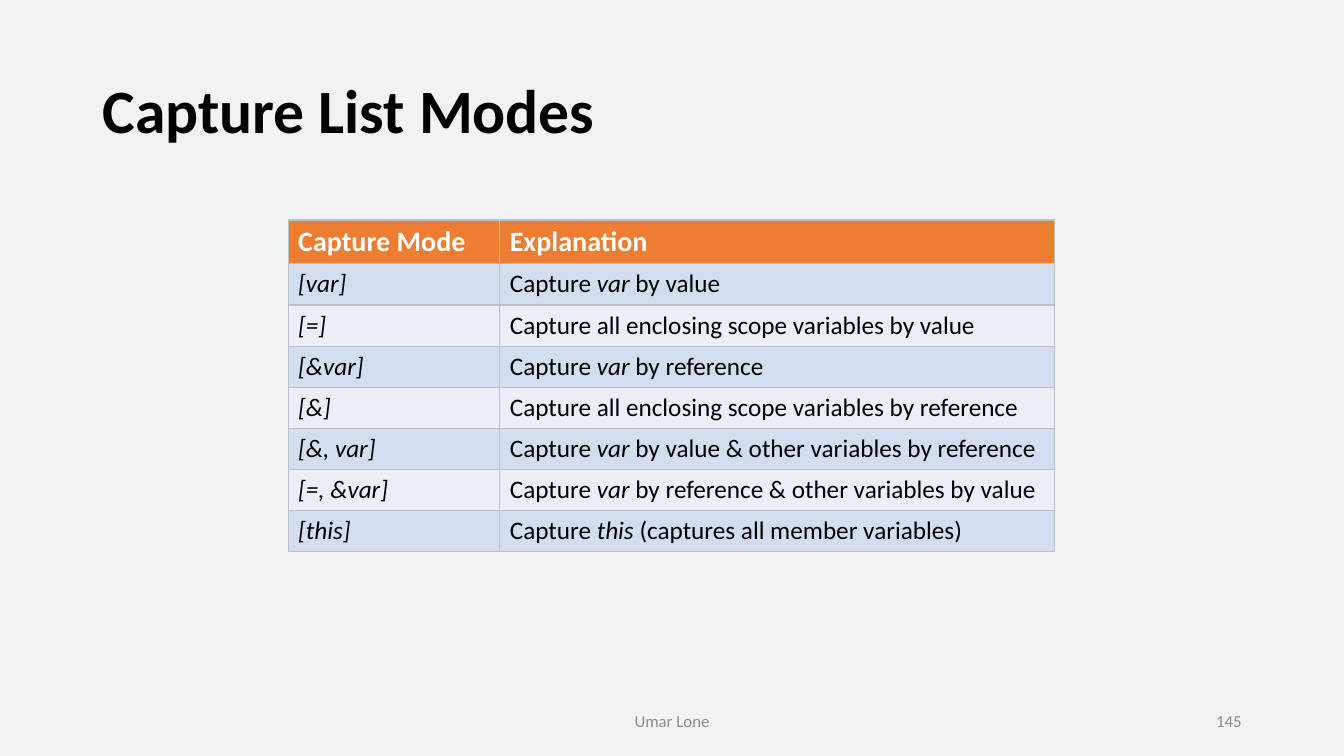
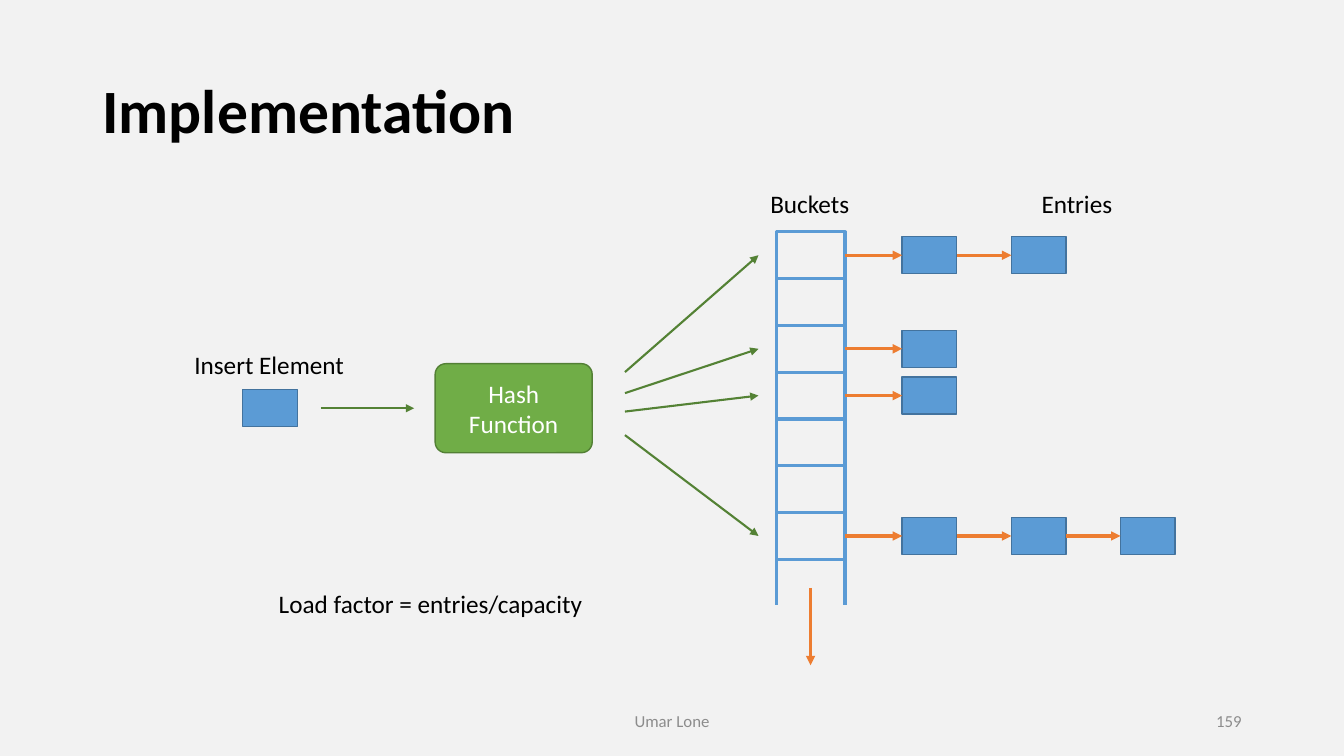
from lxml.etree import SubElement
from pptx import Presentation
from pptx.dml.color import RGBColor as RGB
from pptx.enum.shapes import MSO_CONNECTOR as Conn, MSO_SHAPE as Shape
from pptx.enum.text import MSO_ANCHOR as Anchor, PP_ALIGN as Align
from pptx.oxml import parse_xml
from pptx.oxml.ns import nsdecls, qn
from pptx.util import Inches, Pt

COLS, ROWS = 160, 90
WIDTH, HEIGHT = Inches(13.33), Inches(7.5)
LEFT, RIGHT = 1, 3

COLORS = {
    "back": "F2F2F2", "black": "000000", "white": "FFFFFF", "footer": "8C8C8C",
    "orange": "ED7D31", "blue": "5B9BD5", "blue_edge": "43739E",
    "green": "70AD47", "green_edge": "538035", "green_arrow": "548235",
    "band_dark": "D2DEEF", "band_light": "EAEFF7", "border": "BFBFBF",
}
FONTS = {
    "title": ({"size": Pt(44), "bold": True}, "black"),
    "label": ({"size": Pt(18)}, "black"),
    "italic": ({"size": Pt(18), "italic": True}, "black"),
    "inverse": ({"size": Pt(18)}, "white"),
    "header": ({"size": Pt(20), "bold": True}, "white"),
    "footer": ({"size": Pt(12)}, "footer"),
}


def rgb(name):
    return RGB.from_string(COLORS[name])


def x(cols):
    return round(WIDTH * cols / COLS)


def y(rows):
    return round(HEIGHT * rows / ROWS)


def box(left, top, width, height):
    return x(left), y(top), x(width), y(height)


def marked(text):
    """Split text into runs, with the parts between asterisks in italics."""
    parts = text.split("*")
    return [(t, "italic" if i % 2 else "label") for i, t in enumerate(parts) if t]


def write(tf, runs, align=Align.LEFT, **frame):
    for name, value in frame.items():
        setattr(tf, name, value)
    p = tf.paragraphs[0]
    p.alignment = align
    for text, style in runs:
        r = p.add_run()
        r.text = text
        formats, color = FONTS[style]
        for name, value in {"name": "Calibri", **formats}.items():
            setattr(r.font, name, value)
        r.font.color.rgb = rgb(color)
    return p


class Deck:
    """Holds the presentation style and the current slide."""

    def __init__(self):
        self.prs = Presentation()
        self.prs.slide_width, self.prs.slide_height = WIDTH, HEIGHT
        fill = self.prs.slide_master.background.fill
        fill.solid()
        fill.fore_color.rgb = rgb("back")
        self.s = None

    def new_slide(self, title, number):
        self.s = self.prs.slides.add_slide(self.prs.slide_layouts[5])
        sp = self.s.shapes.title
        sp.left, sp.top, sp.width, sp.height = box(11, 4.8, 138, 17.4)
        p = write(sp.text_frame, [(title, "title")], vertical_anchor=Anchor.MIDDLE)
        p.line_spacing = 0.9
        for area, text, align in (((53, 83.4, 54, 4.8), "Umar Lone", Align.CENTER),
                                  ((113, 83.4, 36, 4.8), number, Align.RIGHT)):
            self.text(area, [(text, "footer")], align, vertical_anchor=Anchor.MIDDLE)

    def text(self, area, runs, align=Align.CENTER, **frame):
        sp = self.s.shapes.add_textbox(*box(*area))
        write(sp.text_frame, runs, align, **{"word_wrap": True, **frame})

    def shape(self, area, fill=None, edge="blue_edge", weight=1, kind=Shape.RECTANGLE):
        sp = self.s.shapes.add_shape(kind, *box(*area))
        sp.shadow.inherit = False
        if fill:
            sp.fill.solid()
            sp.fill.fore_color.rgb = rgb(fill)
        else:
            sp.fill.background()
        sp.line.color.rgb = rgb(edge)
        sp.line.width = Pt(weight)
        return sp

    def line(self, start, end, color, weight=2.25, arrow=True):
        c = self.s.shapes.add_connector(
            Conn.STRAIGHT, x(start[0]), y(start[1]), x(end[0]), y(end[1]))
        c.line.color.rgb = rgb(color)
        c.line.width = Pt(weight)
        spPr = c.element.spPr
        if arrow:
            SubElement(spPr.find(qn("a:ln")), qn("a:tailEnd"), type="triangle")
        SubElement(spPr, qn("a:effectLst"))
        return c

    def link(self, source, target):
        c = self.line((0, 0), (1, 1), "orange")
        c.begin_connect(source, RIGHT)
        c.end_connect(target, LEFT)

    def table(self, left, top, widths, row_height, rows):
        """Draw a table whose first row is the header."""
        area = box(left, top, sum(widths), row_height * len(rows))
        table = self.s.shapes.add_table(len(rows), len(widths), *area).table
        for column, width in zip(table.columns, widths):
            column.width = x(width)
        for i, row in enumerate(rows):
            table.rows[i].height = y(row_height)
            fill = "orange" if i == 0 else "band_dark" if i % 2 else "band_light"
            for j, text in enumerate(row):
                cell = table.cell(i, j)
                write(cell.text_frame, marked(text) if i else [(text, "header")])
                cell.fill.solid()
                cell.fill.fore_color.rgb = rgb(fill)
                self.borders(cell)

    @staticmethod
    def borders(cell):
        tcPr = cell._tc.get_or_add_tcPr()
        for i, side in enumerate("LRTB"):
            tcPr.insert(i, parse_xml(
                f'<a:ln{side} {nsdecls("a")} w="{Pt(1)}"><a:solidFill>'
                f'<a:srgbClr val="{COLORS["border"]}"/></a:solidFill></a:ln{side}>'))


def capture_modes(deck):
    deck.new_slide("Capture List Modes", "145")
    deck.table(34.3, 26.2, (25.2, 66), 4.9, [
        ("Capture Mode", "Explanation"),
        ("*[var]*", "Capture *var* by value"),
        ("*[=]*", "Capture all enclosing scope variables by value"),
        ("*[&var]*", "Capture *var* by reference"),
        ("*[&]*", "Capture all enclosing scope variables by reference"),
        ("*[&, var]*", "Capture *var* by value & other variables by reference"),
        ("*[=, &var]*", "Capture *var* by reference & other variables by value"),
        ("*[this]*", "Capture *this* (captures all member variables)"),
    ])


def implementation(deck):
    deck.new_slide("Implementation", "159")
    bucket_x, bucket_y, bucket_w, bucket_h, count = 92.4, 27.6, 8.2, 5.57, 8
    entry_x, entry_w, entry_h = 107.4, 6.5, 4.4
    middle = 48.6

    buckets = [deck.shape((bucket_x, bucket_y + i * bucket_h, bucket_w, bucket_h),
                          edge="blue", weight=2.25) for i in range(count)]
    bottom = bucket_y + count * bucket_h
    deck.line((90.2, bottom), (102.2, bottom), "back", arrow=False)
    center = bucket_x + bucket_w / 2
    deck.line((center, 70), (center, 79.2), "orange")

    # bucket index, number of entries, start row of the arrow from the hash function
    for index, entries, start in ((0, 2, 44.3), (2, 1, 46.8), (3, 1, 49), (6, 3, 51.8)):
        row = bucket_y + (index + 0.5) * bucket_h
        deck.line((74.4, start), (90.3, row), "green_arrow", 1.5)
        previous = buckets[index]
        for i in range(entries):
            entry = deck.shape((entry_x + 2 * i * entry_w, row - entry_h / 2,
                                entry_w, entry_h), "blue")
            deck.link(previous, entry)
            previous = entry

    deck.shape((28.9, middle - entry_h / 2, entry_w, entry_h), "blue")
    deck.line((38.2, middle), (49.3, middle), "green_arrow", 1.5)
    sp = deck.shape((51.8, middle - 5.3, 18.7, 10.6), "green", "green_edge",
                    kind=Shape.ROUNDED_RECTANGLE)
    sp.adjustments[0] = 0.12
    write(sp.text_frame, [("Hash Function", "inverse")], Align.CENTER,
          vertical_anchor=Anchor.MIDDLE, word_wrap=True)

    for area, label in (((90.4, 21.8, 12, 4.8), "Buckets"),
                        ((114.8, 21.8, 26.8, 4.8), "Entries"),
                        ((21.2, 41, 21.7, 4.8), "Insert Element")):
        deck.text(area, [(label, "label")])
    deck.text((32, 69.4, 39, 4.8), [("Load factor = entries/capacity", "label")],
              Align.LEFT, word_wrap=False)


def main():
    deck = Deck()
    capture_modes(deck)
    implementation(deck)
    deck.prs.save("out.pptx")


if __name__ == "__main__":
    main()
